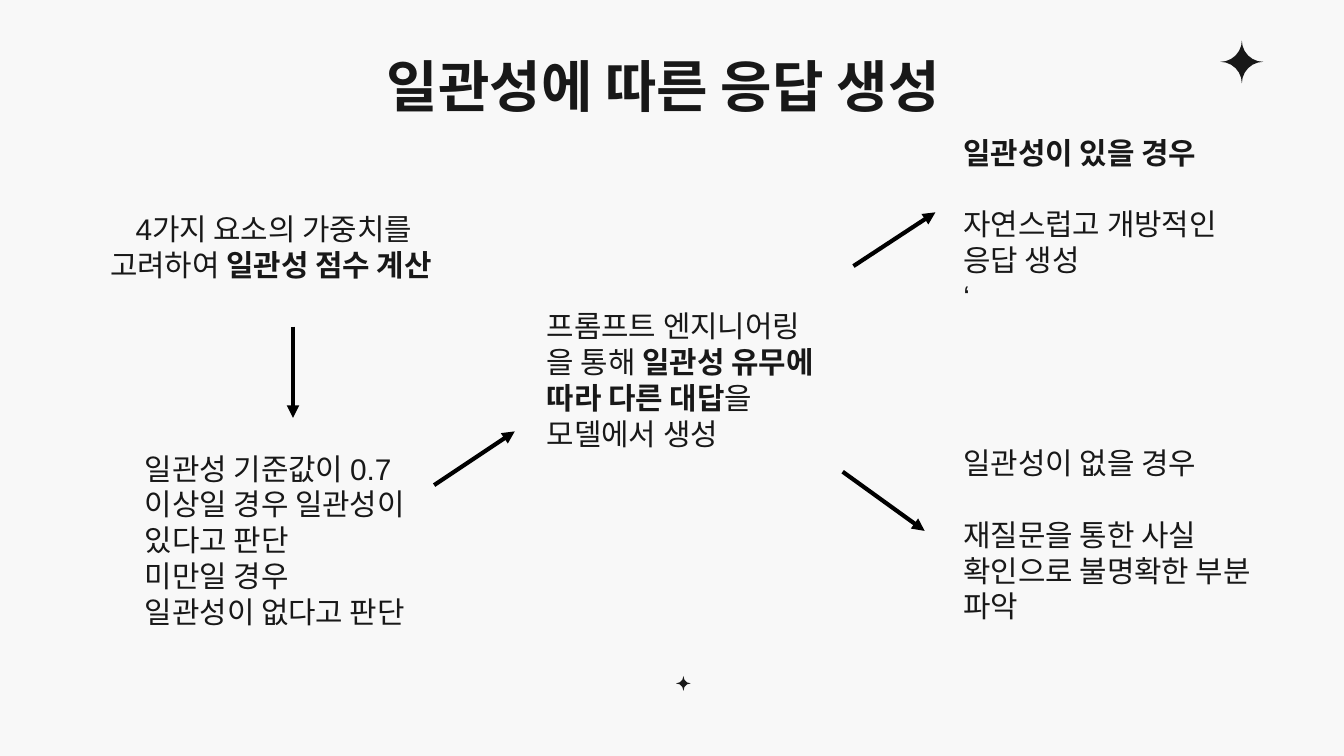
from dataclasses import dataclass

from lxml import etree
from pptx import Presentation
from pptx.dml.color import RGBColor
from pptx.enum.shapes import MSO_CONNECTOR, MSO_SHAPE
from pptx.enum.text import MSO_ANCHOR, PP_ALIGN
from pptx.oxml.ns import qn
from pptx.util import Inches, Pt

LINE = MSO_CONNECTOR.STRAIGHT
PLAQUE = MSO_SHAPE.PLAQUE
TOP, MIDDLE = MSO_ANCHOR.TOP, MSO_ANCHOR.MIDDLE
LEFT, CENTER = PP_ALIGN.LEFT, PP_ALIGN.CENTER


@dataclass(frozen=True)
class Theme:
    font: str = "Arial"
    ink: RGBColor = RGBColor(0x18, 0x18, 0x18)
    paper: RGBColor = RGBColor(0xF8, 0xF8, 0xF8)
    arrow: RGBColor = RGBColor(0, 0, 0)
    title: int = 30
    body: int = 16
    gap: float = 19.2
    stroke: float = 2.25


THEME = Theme()


def add_text(slide, box, lines, size=THEME.body, align=LEFT, anchor=TOP,
             space=None, indent=0, gap=0):
    frame = slide.shapes.add_textbox(*map(Inches, box)).text_frame
    frame.word_wrap = True
    frame.vertical_anchor = anchor
    frame.margin_left = frame.margin_right = Inches(0.1)
    frame.margin_top = frame.margin_bottom = Inches(0.1)
    for row, line in enumerate(lines):
        para = frame.add_paragraph() if row else frame.paragraphs[0]
        para.alignment = align
        if space:
            para.line_spacing = space
        if row == 0 and indent:
            para._p.get_or_add_pPr().set("indent", str(Inches(indent)))
        if row == 1 and gap:
            para.space_before = Pt(gap)
        for part, words in enumerate(line.split("*")):
            if not words:
                continue
            run = para.add_run()
            run.text = words
            run.font.size = Pt(size)
            run.font.bold = part % 2 == 1
            run.font.color.rgb = THEME.ink
            run.font.name = THEME.font


def add_star(slide, left, top, side):
    star = slide.shapes.add_shape(PLAQUE, *map(Inches, (left, top, side, side)))
    star.adjustments[0] = 0.5
    star.shadow.inherit = False
    star.fill.solid()
    star.fill.fore_color.rgb = THEME.ink
    star.line.fill.background()


def add_arrow(slide, *ends):
    arrow = slide.shapes.add_connector(LINE, *map(Inches, ends))
    arrow.line.color.rgb = THEME.arrow
    arrow.line.width = Pt(THEME.stroke)
    etree.SubElement(arrow.line._get_or_add_ln(), qn("a:tailEnd"), type="triangle")
    etree.SubElement(arrow._element.spPr, qn("a:effectLst"))


def add_head(slide, left, top, width, height):
    add_text(slide, (left, top, width, height), ["*일관성에 따른 응답 생성*"],
             size=THEME.title, align=CENTER, anchor=MIDDLE, space=1.15)
    add_star(slide, left + 8.36, top + 0.02, 0.32)


def add_score(slide, left, top):
    add_text(slide, (left, top, 3.11, 0.63),
             ["4가지 요소의 가중치를", "고려하여 *일관성 점수 계산*"], indent=0.19)
    add_arrow(slide, left + 1.46, top + 0.96, left + 1.46, top + 1.64)
    add_text(slide, (left + 0.26, top + 1.78, 2.39, 1.7),
             ["일관성 기준값이 0.7이상일 경우 일관성이 있다고 판단",
              "미만일 경우", "일관성이 없다고 판단"])


def add_prompt(slide, left, top):
    add_arrow(slide, left - 0.74, top + 1.42, left - 0.14, top + 1.02)
    add_text(slide, (left, top, 2.59, 1.77),
             ["프롬프트 엔지니어링",
              "을 통해 *일관성 유무에 따라 다른 대답*을 모델에서 생성"])


def add_case(slide, left, top, lines, start, end):
    add_arrow(slide, left + start[0], top + start[1], left + end[0], top + end[1])
    add_text(slide, (left, top, 2.39, 1.77), lines, gap=THEME.gap)


def main():
    deck = Presentation()
    deck.slide_width, deck.slide_height = Inches(10), Inches(10 * 9 / 16)
    slide = deck.slides.add_slide(deck.slide_layouts[6])
    slide.background.fill.solid()
    slide.background.fill.fore_color.rgb = THEME.paper

    add_head(slide, 0.72, 0.28, 8.43, 0.63)
    add_score(slide, 0.72, 1.47)
    add_prompt(slide, 3.97, 2.19)
    add_case(slide, 7.07, 0.9,
             ["*일관성이 있을 경우*", "자연스럽고 개방적인", "응답 생성", "‘"],
             (-0.72, 1.08), (-0.11, 0.68))
    add_case(slide, 7.07, 3.21,
             ["일관성이 없을 경우", "재질문을 통한 사실 확인으로 불명확한 부분 파악"],
             (-0.8, 0.3), (-0.19, 0.74))
    add_star(slide, 5.03, 5.03, 0.11)
    deck.save("out.pptx")


if __name__ == "__main__":
    main()
